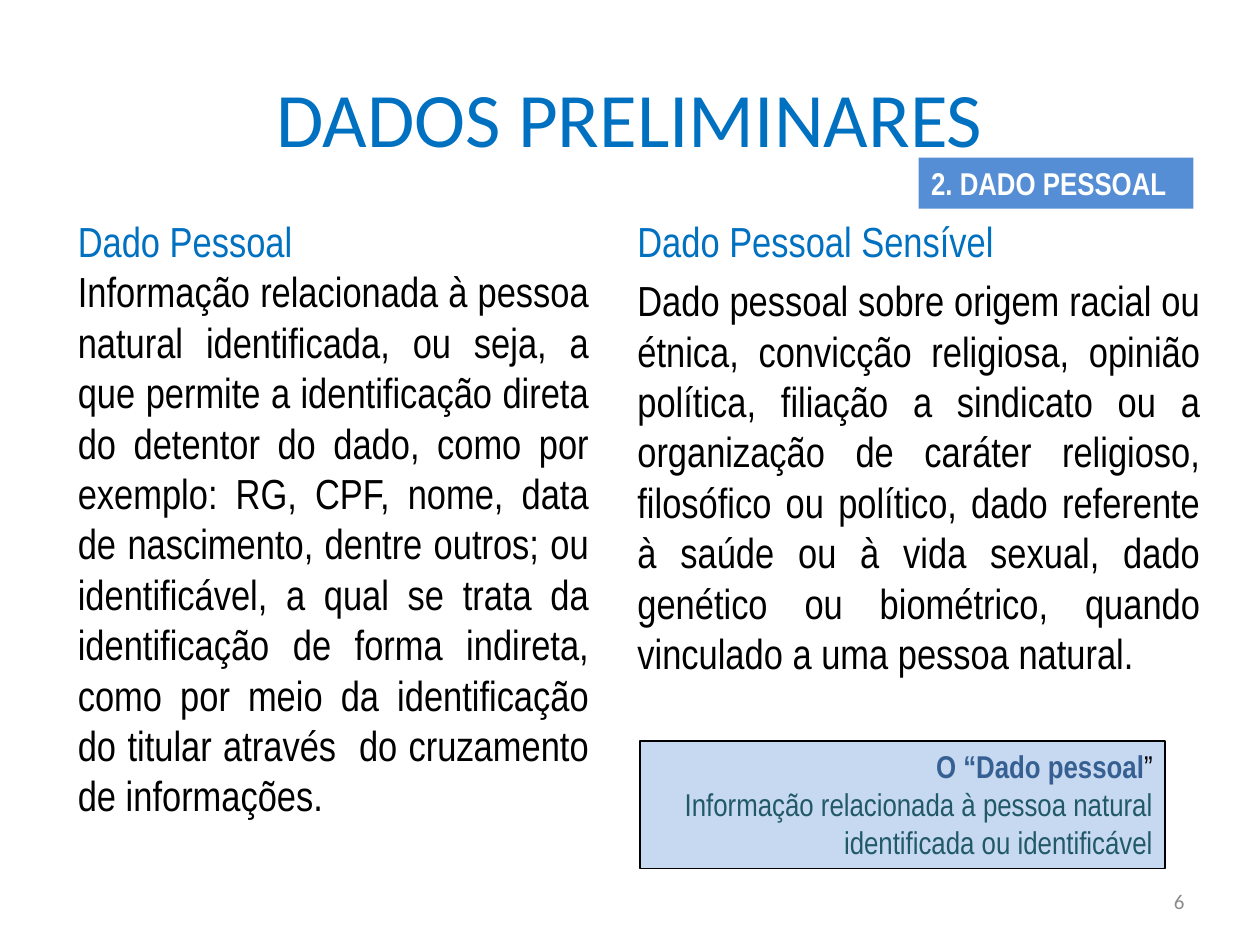
from pptx import Presentation
from pptx.dml.color import RGBColor
from pptx.enum.shapes import MSO_SHAPE
from pptx.enum.text import MSO_ANCHOR, PP_ALIGN
from pptx.util import Cm, Pt

LEFT, CENTER, RIGHT, JUSTIFY = PP_ALIGN.LEFT, PP_ALIGN.CENTER, PP_ALIGN.RIGHT, PP_ALIGN.JUSTIFY
TOP, MIDDLE = MSO_ANCHOR.TOP, MSO_ANCHOR.MIDDLE
RECTANGLE = MSO_SHAPE.RECTANGLE
BODY_FONT, TITLE_FONT = "Arial Narrow", "Calibri"
COLORS = {
    "heading": "0070C0",
    "text": "000000",
    "label": "558ED5",
    "label text": "FFFFFF",
    "note": "C6D9F1",
    "note term": "376092",
    "note text": "215968",
    "number": "8C8C8C",
}


def color(name):
    return RGBColor.from_string(COLORS[name])


def write(shape, lines, size, font_name=BODY_FONT, anchor=TOP, gap=0, bold=False):
    """Fill the shape with (text, color name, alignment) lines, gap points apart."""
    frame = shape.text_frame
    frame.word_wrap = True
    frame.vertical_anchor = anchor
    for index, (text, color_name, alignment) in enumerate(lines):
        paragraph = frame.paragraphs[0] if index == 0 else frame.add_paragraph()
        paragraph.text = text
        paragraph.alignment = alignment
        paragraph.space_before = Pt(gap if index else 0)
        paragraph.font.name = font_name
        paragraph.font.size = Pt(size)
        paragraph.font.bold = bold
        paragraph.font.color.rgb = color(color_name)


presentation = Presentation()
presentation.slide_width, presentation.slide_height = Cm(25.4), Cm(19.05)
slide = presentation.slides.add_slide(presentation.slide_layouts[6])
shapes = slide.shapes

# Title
title = shapes.add_textbox(Cm(1.27), Cm(0.76), Cm(22.86), Cm(3.18))
write(title, [("DADOS PRELIMINARES", "heading", CENTER)], 44, TITLE_FONT, MIDDLE)

# Two columns of definitions
columns = [
    (12.6, 11.84, 11.07, 5, "Dado Pessoal Sensível",
     "Dado pessoal sobre origem racial ou étnica, convicção religiosa, opinião política, "
     "filiação a sindicato ou a organização de caráter religioso, filosófico ou político, "
     "dado referente à saúde ou à vida sexual, dado genético ou biométrico, quando "
     "vinculado a uma pessoa natural."),
    (1.32, 10.8, 12.57, 0, "Dado Pessoal",
     "Informação relacionada à pessoa natural identificada, ou seja, a que permite a "
     "identificação direta do detentor do dado, como por exemplo: RG, CPF, nome, data de "
     "nascimento, dentre outros; ou identificável, a qual se trata da identificação de "
     "forma indireta, como por meio da identificação do titular através  do cruzamento "
     "de informações."),
]
for left, width, height, gap, heading, definition in columns:
    column = shapes.add_textbox(Cm(left), Cm(4.22), Cm(width), Cm(height))
    write(column, [(heading, "heading", LEFT), (definition, "text", JUSTIFY)], 24, gap=gap)

# Section label
label = shapes.add_shape(RECTANGLE, Cm(18.52), Cm(3.18), Cm(5.54), Cm(1.03))
label.shadow.inherit = False
label.fill.solid()
label.fill.fore_color.rgb = color("label")
label.line.fill.background()
write(label, [("2. DADO PESSOAL", "label text", LEFT)], 18, bold=True)

# Summary note
note = shapes.add_shape(RECTANGLE, Cm(12.9), Cm(14.94), Cm(10.59), Cm(2.57))
note.shadow.inherit = False
note.fill.solid()
note.fill.fore_color.rgb = color("note")
note.line.color.rgb = color("text")
note.line.width = Pt(1)
write(note, [
    ("", "text", RIGHT),
    ("Informação relacionada à pessoa natural identificada ou identificável", "note text", RIGHT),
], 18)
for text, color_name, bold in [("O “Dado pessoal", "note term", True), ("”", "text", False)]:
    run = note.text_frame.paragraphs[0].add_run()
    run.text = text
    run.font.name = BODY_FONT
    run.font.size = Pt(18)
    run.font.bold = bold
    run.font.color.rgb = color(color_name)

# Slide number
number = shapes.add_textbox(Cm(18.21), Cm(17.65), Cm(5.92), Cm(1.02))
write(number, [("6", "number", RIGHT)], 12, TITLE_FONT, MIDDLE)

presentation.save("out.pptx")
